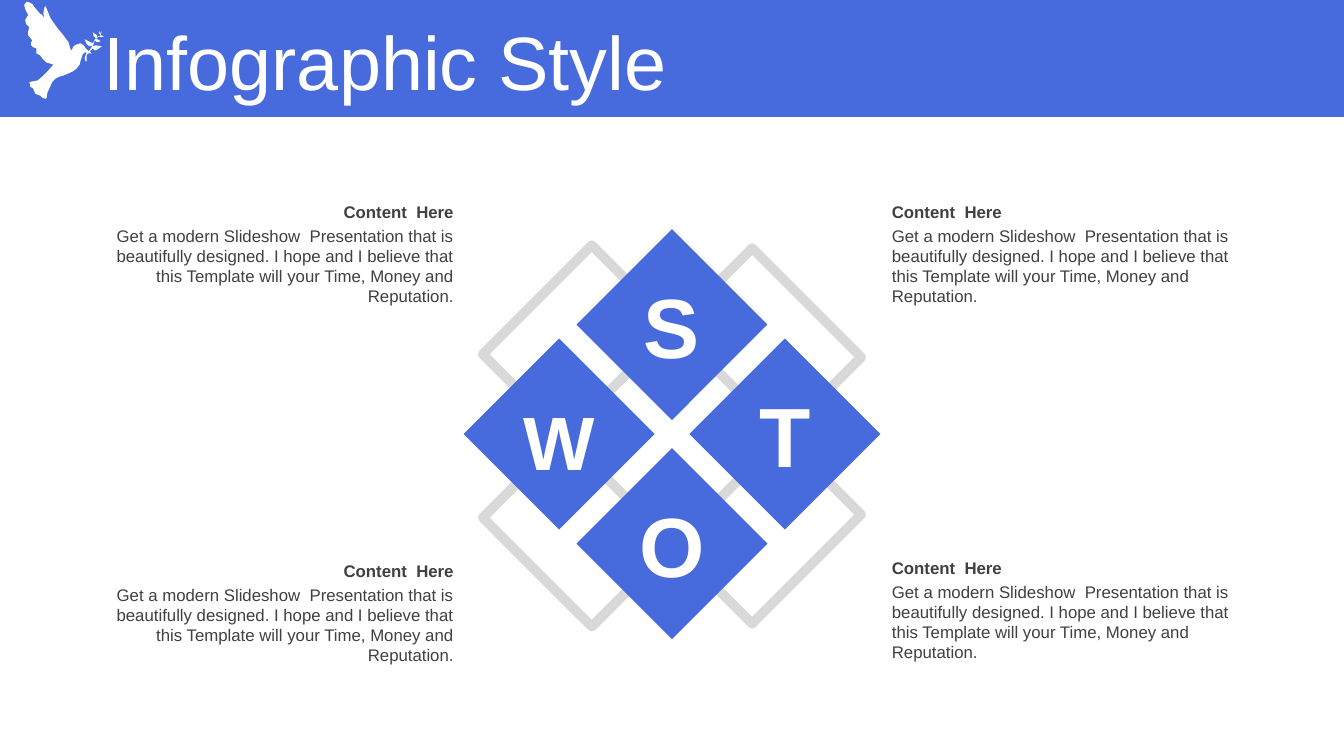
from dataclasses import dataclass

from pptx import Presentation
from pptx.dml.color import RGBColor
from pptx.enum.shapes import MSO_SHAPE
from pptx.enum.text import MSO_ANCHOR, MSO_AUTO_SIZE, PP_ALIGN
from pptx.shapes.autoshape import Shape
from pptx.slide import Slide
from pptx.util import Emu, Inches, Pt

RECTANGLE = MSO_SHAPE.RECTANGLE
TOP, MIDDLE = MSO_ANCHOR.TOP, MSO_ANCHOR.MIDDLE
LEFT, CENTER, RIGHT = PP_ALIGN.LEFT, PP_ALIGN.CENTER, PP_ALIGN.RIGHT
FIT_SHAPE, NO_FIT = MSO_AUTO_SIZE.SHAPE_TO_FIT_TEXT, MSO_AUTO_SIZE.NONE

BLUE = RGBColor(0x47, 0x6A, 0xDD)
WHITE = RGBColor(0xFF, 0xFF, 0xFF)
LIGHT_GRAY = RGBColor(0xD9, 0xD9, 0xD9)
DARK_GRAY = RGBColor(0x40, 0x40, 0x40)
FONT = "Arial"

# Square grid: 40 columns by 22.5 rows
CELL = Inches(1 / 3)
COLUMNS, ROWS = 40, 22.5

HEADER_ROWS = 3.48
CENTER_COLUMN, CENTER_ROW = 20, 12.92
COLUMN_STEP, ROW_STEP = 3.36, 3.26
TILE_SIZE = 4.02
FRAME_WIDTH, FRAME_HEIGHT = 4.59, 11.34
HEADING_HEIGHT, BODY_OFFSET, BODY_HEIGHT = 0.9, 0.72, 2.73

HEADING = "Content  Here"
BODY = (
    "Get a modern Slideshow  Presentation that is beautifully designed. "
    "I hope and I believe that this Template will your Time, Money and Reputation."
)

# Outline of the dove, in hundredths of an inch
DOVE_OUTLINE = [
    (35, 93), (33, 88), (30, 86), (30, 84), (29, 82), (31, 81), (37, 79.5),
    (42, 76), (47, 71), (53, 64), (46, 61.5), (41.5, 58.5), (40, 55), (36.5, 53),
    (36, 48), (33, 47), (31, 45), (30.8, 42.5), (32, 40), (28, 35), (28, 31),
    (29, 27), (26.5, 24), (25, 20), (26, 17.5), (28, 15), (25, 9), (24, 5),
    (26, 2), (28, 2), (32, 4), (34, 7), (40, 14), (41, 14), (44, 18), (43, 13),
    (44, 8), (45, 6.5), (46, 8), (50, 18), (57, 28), (62, 34), (68, 42),
    (70, 49), (71, 50), (73, 46), (76, 43.5), (80, 43), (83, 45), (85, 48),
    (88, 51), (92, 45), (89, 46), (86, 44), (84, 39), (88, 41), (92, 43),
    (95, 38), (93, 36), (92, 32), (96, 35), (96, 37), (100, 35), (98, 33),
    (99, 31), (100, 34), (101, 31), (100, 35), (103, 36), (100, 37), (99, 36),
    (95, 38), (100, 41), (96, 42), (94, 40), (92, 46), (95, 45), (101, 46),
    (97, 49), (94, 49.5), (92, 48), (89, 51), (91, 53), (87, 53), (86, 55),
    (86, 58), (86, 61), (85, 61), (84, 58), (86, 52), (84, 52), (82, 54),
    (81, 57), (80, 60), (79, 64.5), (76, 68), (72, 71), (63, 75), (59, 76),
    (55, 77.5), (52, 81), (47, 92), (46, 98), (45, 98), (42, 97), (40, 95),
]


@dataclass(frozen=True)
class Tile:
    letter: str
    column_offset: int
    row_offset: int
    size: int = 60
    letter_drop: float = 0


@dataclass(frozen=True)
class Frame:
    center_row: float
    rotation: int


@dataclass(frozen=True)
class TextBlock:
    column: float
    row: float
    width: float
    alignment: PP_ALIGN


TILES = [
    Tile("S", 0, -1),
    Tile("T", 1, 0),
    Tile("O", 0, 1),
    Tile("W", -1, 0, size=54, letter_drop=0.17),
]
FRAMES = [Frame(13.02, 45), Frame(12.93, 315)]
TEXT_BLOCKS = [
    TextBlock(26.25, 5.85, 10.92, LEFT),
    TextBlock(26.25, 16.44, 10.92, LEFT),
    TextBlock(2.52, 5.85, 11.28, RIGHT),
    TextBlock(2.52, 16.53, 11.28, RIGHT),
]


def cells(count: float) -> Emu:
    return Emu(round(count * CELL))


def add_rectangle(slide: Slide, column: float, row: float, width: float,
                  height: float, rotation: float = 0) -> Shape:
    shape = slide.shapes.add_shape(
        RECTANGLE, cells(column), cells(row), cells(width), cells(height))
    shape.rotation = rotation
    shape.shadow.inherit = False
    return shape


def paint(shape: Shape, color: RGBColor) -> None:
    """Fill the shape with one colour and remove its outline."""
    shape.fill.solid()
    shape.fill.fore_color.rgb = color
    shape.line.fill.background()


def write(shape: Shape, text: str, size: int, color: RGBColor, bold: bool,
          alignment: PP_ALIGN, anchor: MSO_ANCHOR) -> None:
    text_frame = shape.text_frame
    text_frame.text = text
    text_frame.word_wrap = True
    text_frame.vertical_anchor = anchor
    paragraph = text_frame.paragraphs[0]
    paragraph.alignment = alignment
    font = paragraph.runs[0].font
    font.name, font.size, font.bold = FONT, Pt(size), bold
    font.color.rgb = color


def add_text(slide: Slide, column: float, row: float, width: float, height: float,
             text: str, size: int, color: RGBColor, bold: bool,
             alignment: PP_ALIGN, anchor: MSO_ANCHOR = MIDDLE) -> None:
    box = slide.shapes.add_textbox(
        cells(column), cells(row), cells(width), cells(height))
    write(box, text, size, color, bold, alignment, anchor)
    box.text_frame.auto_size = FIT_SHAPE


def add_header(slide: Slide) -> None:
    title = slide.shapes.title
    title.left, title.top = cells(2.79), cells(0.78)
    title.width, title.height = cells(35.55), cells(2.37)
    write(title, "Infographic Style", 54, WHITE, False, LEFT, MIDDLE)
    title.text_frame.auto_size = NO_FIT
    title.text_frame.paragraphs[0].line_spacing = 0.9

    bar = add_rectangle(slide, 0, 0, COLUMNS, HEADER_ROWS)
    paint(bar, BLUE)
    builder = slide.shapes.build_freeform(*DOVE_OUTLINE[0], scale=Inches(0.01))
    builder.add_line_segments(DOVE_OUTLINE[1:], close=True)
    dove = builder.convert_to_shape()
    dove.shadow.inherit = False
    paint(dove, WHITE)
    for shape in (bar, dove):
        title.element.addprevious(shape.element)


def add_frame(slide: Slide, frame: Frame) -> None:
    shape = add_rectangle(
        slide, CENTER_COLUMN - FRAME_WIDTH / 2, frame.center_row - FRAME_HEIGHT / 2,
        FRAME_WIDTH, FRAME_HEIGHT, frame.rotation)
    shape.fill.background()
    shape.line.color.rgb = LIGHT_GRAY
    shape.line.width = Pt(7)


def add_tile(slide: Slide, tile: Tile) -> None:
    column = CENTER_COLUMN + tile.column_offset * COLUMN_STEP - TILE_SIZE / 2
    row = CENTER_ROW + tile.row_offset * ROW_STEP - TILE_SIZE / 2
    paint(add_rectangle(slide, column, row, TILE_SIZE, TILE_SIZE, 45), BLUE)
    height = tile.size / 18
    letter_row = row + (TILE_SIZE - height) / 2 + tile.letter_drop
    add_text(slide, column, letter_row, TILE_SIZE, height,
             tile.letter, tile.size, WHITE, True, CENTER)


def add_text_block(slide: Slide, block: TextBlock) -> None:
    add_text(slide, block.column, block.row, block.width, HEADING_HEIGHT,
             HEADING, 12, DARK_GRAY, True, block.alignment)
    add_text(slide, block.column, block.row + BODY_OFFSET, block.width, BODY_HEIGHT,
             BODY, 12, DARK_GRAY, False, block.alignment, TOP)


def main() -> None:
    presentation = Presentation()
    presentation.slide_width, presentation.slide_height = cells(COLUMNS), cells(ROWS)
    slide = presentation.slides.add_slide(
        presentation.slide_layouts.get_by_name("Title Only"))
    add_header(slide)
    for frame in FRAMES:
        add_frame(slide, frame)
    for tile in TILES:
        add_tile(slide, tile)
    for block in TEXT_BLOCKS:
        add_text_block(slide, block)
    presentation.save("out.pptx")


if __name__ == "__main__":
    main()
